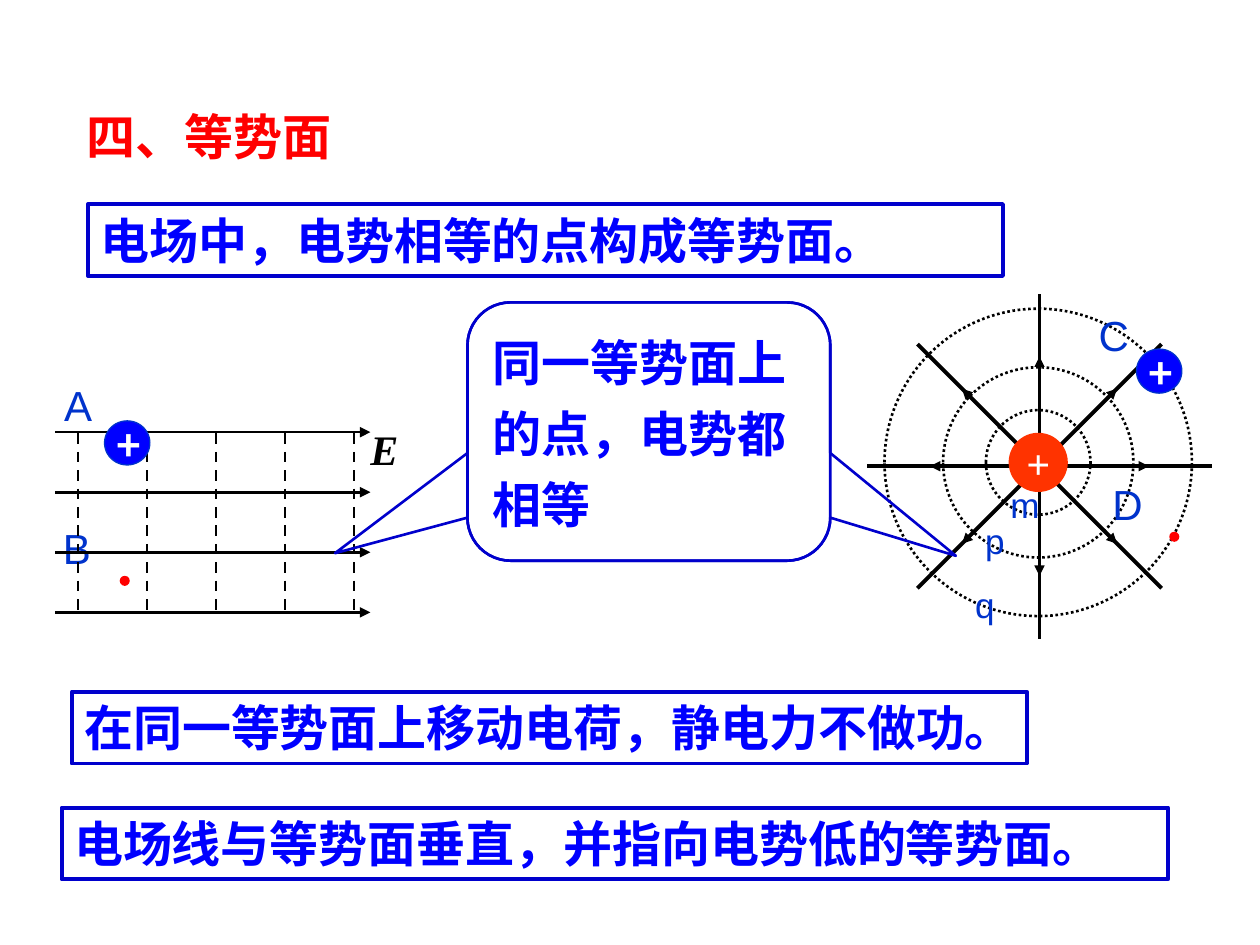
from dataclasses import dataclass
from math import cos, pi, sin

from lxml.etree import SubElement
from pptx import Presentation
from pptx.dml.color import RGBColor
from pptx.enum.dml import MSO_LINE
from pptx.enum.shapes import MSO_CONNECTOR, MSO_SHAPE
from pptx.enum.text import MSO_ANCHOR, PP_ALIGN
from pptx.oxml.ns import qn
from pptx.util import Inches, Pt


@dataclass(frozen=True)
class Theme:
    """Colours, fonts, type sizes and line widths of the slide."""
    title: str = "FF0000"
    statement: str = "0000FF"
    frame: str = "0000CC"
    label: str = "0033CC"
    field: str = "000000"
    source: str = "FF3300"
    white: str = "FFFFFF"
    sans: str = "Arial"
    serif: str = "Times New Roman"
    symbol: str = "Noto Sans CJK SC"
    large: int = 28
    medium: int = 24
    small: int = 20
    thin: float = 0.75
    normal: float = 1.5
    thick: float = 2.25


@dataclass(frozen=True)
class Box:
    """A region in inches."""
    left: float
    top: float
    width: float
    height: float

    def lengths(self):
        """Return the region as slide lengths."""
        return [Inches(v) for v in (self.left, self.top, self.width, self.height)]


THEME = Theme()


def write(shape, text, size, color, font=THEME.sans, bold=False, italic=False,
          margins=(0.1, 0.05), wrap=True, align=PP_ALIGN.LEFT,
          anchor=MSO_ANCHOR.TOP, spacing=None):
    """Put one styled paragraph in a shape."""
    frame = shape.text_frame
    frame.word_wrap = wrap
    frame.vertical_anchor = anchor
    frame.margin_left = frame.margin_right = Inches(margins[0])
    frame.margin_top = frame.margin_bottom = Inches(margins[1])
    para = frame.paragraphs[0]
    para.text = text
    para.alignment = align
    para.line_spacing = spacing
    para.font.name = font
    para.font.size = Pt(size)
    para.font.bold = bold
    para.font.italic = italic
    para.font.color.rgb = RGBColor.from_string(color)


def add_text(page, box, text, size, color, **style):
    """Add a text box."""
    write(page.shapes.add_textbox(*box.lengths()), text, size, color, **style)


def add_shape(page, kind, box, fill=None, line=None, width=THEME.normal, dash=None):
    """Add a preset shape with an optional fill and outline."""
    shape = page.shapes.add_shape(kind, *box.lengths())
    shape.shadow.inherit = False
    if fill:
        shape.fill.solid()
        shape.fill.fore_color.rgb = RGBColor.from_string(fill)
    else:
        shape.fill.background()
    if line:
        shape.line.color.rgb = RGBColor.from_string(line)
        shape.line.width = Pt(width)
        shape.line.dash_style = dash
    else:
        shape.line.fill.background()
    return shape


def add_line(page, start, end, width=THEME.normal, dash=None, arrow=False):
    """Add a straight line, with an arrowhead at its end if wanted."""
    ends = [Inches(v) for v in (*start, *end)]
    line = page.shapes.add_connector(MSO_CONNECTOR.STRAIGHT, *ends)
    line.line.color.rgb = RGBColor.from_string(THEME.field)
    line.line.width = Pt(width)
    line.line.dash_style = dash
    properties = line._element.spPr
    if arrow:
        SubElement(properties.find(qn("a:ln")), qn("a:tailEnd"), type="triangle")
    SubElement(properties, qn("a:effectLst"))


def add_statement(page, box, text, wrap=True):
    """Add a framed statement."""
    shape = add_shape(page, MSO_SHAPE.RECTANGLE, box, line=THEME.frame, width=THEME.thick)
    write(shape, text, THEME.large, THEME.statement, bold=True, wrap=wrap)


def add_point(page, left, top, name, dot=False):
    """Add a point's letter, with its dot below right if wanted."""
    if dot:
        add_shape(page, MSO_SHAPE.OVAL, Box(left + 0.55, top + 0.47, 0.08, 0.08),
                  fill=THEME.title)
    add_text(page, Box(left, top, 0.79, 0.5), name, THEME.medium, THEME.label)


def add_charge(page, box):
    """Add a positive test charge."""
    add_shape(page, MSO_SHAPE.OVAL, box, THEME.statement, THEME.label, THEME.thin)
    add_text(page, Box(box.left, box.top - 0.06, box.width, 0.5), "+", THEME.medium,
             THEME.white, font=THEME.symbol, bold=True)


def add_uniform_field(page, box):
    """Add parallel field lines crossed by dashed equipotentials."""
    right, bottom = box.left + box.width, box.top + box.height
    add_point(page, box.left - 0.04, box.top + 0.67, "B", dot=True)
    add_point(page, box.left - 0.03, box.top - 0.47, "A")
    for row in range(4):
        y = box.top + row * box.height / 3
        add_line(page, (box.left, y), (right, y), arrow=True)
    for column in range(5):
        x = box.left + 0.18 + column * 0.5475
        add_line(page, (x, box.top + 0.01), (x, bottom + 0.01), dash=MSO_LINE.DASH)
    add_text(page, Box(right, box.top - 0.07, 0.42, 0.4), "E", THEME.medium, THEME.field,
             font=THEME.serif, bold=True, italic=True, margins=(0, 0))
    add_charge(page, Box(box.left + 0.39, box.top - 0.09, 0.36, 0.35))


def add_radial_field(page, box):
    """Add a point charge's field lines and circular equipotentials."""
    radius = box.width / 2
    x, y = box.left + radius, box.top + radius

    def around(distance, angle):
        """Return the point at a distance and angle from the centre."""
        return x + distance * cos(angle), y + distance * sin(angle)

    def disc(diameter):
        """Return the box of a circle round the source."""
        return Box(x - 0.01 - diameter / 2, y - 0.03 - diameter / 2, diameter, diameter)

    for step in range(8):
        angle = step * pi / 4
        add_line(page, around(0.45, angle), around(0.87, angle), arrow=True)
        add_line(page, around(0.16, angle), around(radius, angle), THEME.thick)
    core = add_shape(page, MSO_SHAPE.OVAL, disc(0.47), fill=THEME.source)
    write(core, "+", THEME.medium, THEME.white, font=THEME.serif, bold=True,
          margins=(0, 0), align=PP_ALIGN.CENTER, anchor=MSO_ANCHOR.MIDDLE)
    for diameter in (0.83, 1.51, 2.44):
        add_shape(page, MSO_SHAPE.OVAL, disc(diameter), line=THEME.field,
                  dash=MSO_LINE.ROUND_DOT)
    for name, dx, dy, width in (("m", -0.33, 0.09, 0.43), ("p", -0.53, 0.37, 0.35),
                                ("q", -0.61, 0.88, 0.35)):
        add_text(page, Box(x + dx, y + dy, width, 0.44), name, THEME.small,
                 THEME.label, wrap=False)
    add_point(page, x + 0.37, y - 1.29, "C")
    add_point(page, x + 0.48, y + 0.05, "D", dot=True)
    add_charge(page, Box(x + 0.77, y - 0.93, 0.36, 0.35))


def add_double_callout(page, box, text):
    """Add a callout that points to both fields."""
    for tip_x, tip_y, words in ((-0.865, 0.471, text), (0.846, 0.481, None)):
        callout = add_shape(page, MSO_SHAPE.ROUNDED_RECTANGULAR_CALLOUT, box,
                            line=THEME.frame)
        for index, value in enumerate((tip_x, tip_y, 0.167)):
            callout.adjustments[index] = value
        if words:
            write(callout, words, THEME.large, THEME.statement, bold=True, spacing=1.2,
                  anchor=MSO_ANCHOR.TOP)


def main():
    """Build the slide and save it."""
    deck = Presentation()
    deck.slide_width, deck.slide_height = Inches(10), Inches(7.5)
    page = deck.slides.add_slide(deck.slide_layouts[6])
    add_text(page, Box(0.59, 0.8, 2.16, 0.57), "四、等势面", THEME.large, THEME.title,
             bold=True)
    add_statement(page, Box(0.7, 1.62, 7.26, 0.57), "电场中，电势相等的点构成等势面。")
    add_uniform_field(page, Box(0.44, 3.43, 2.5, 1.43))
    add_radial_field(page, Box(6.88, 2.33, 2.74, 2.74))
    add_double_callout(page, Box(3.71, 2.4, 2.88, 2.05), "同一等势面上的点，电势都相等")
    add_statement(page, Box(0.57, 5.49, 7.58, 0.57),
                  "在同一等势面上移动电荷，静电力不做功。", wrap=False)
    add_statement(page, Box(0.49, 6.41, 8.78, 0.57),
                  "电场线与等势面垂直，并指向电势低的等势面。")
    deck.save("out.pptx")


if __name__ == "__main__":
    main()
